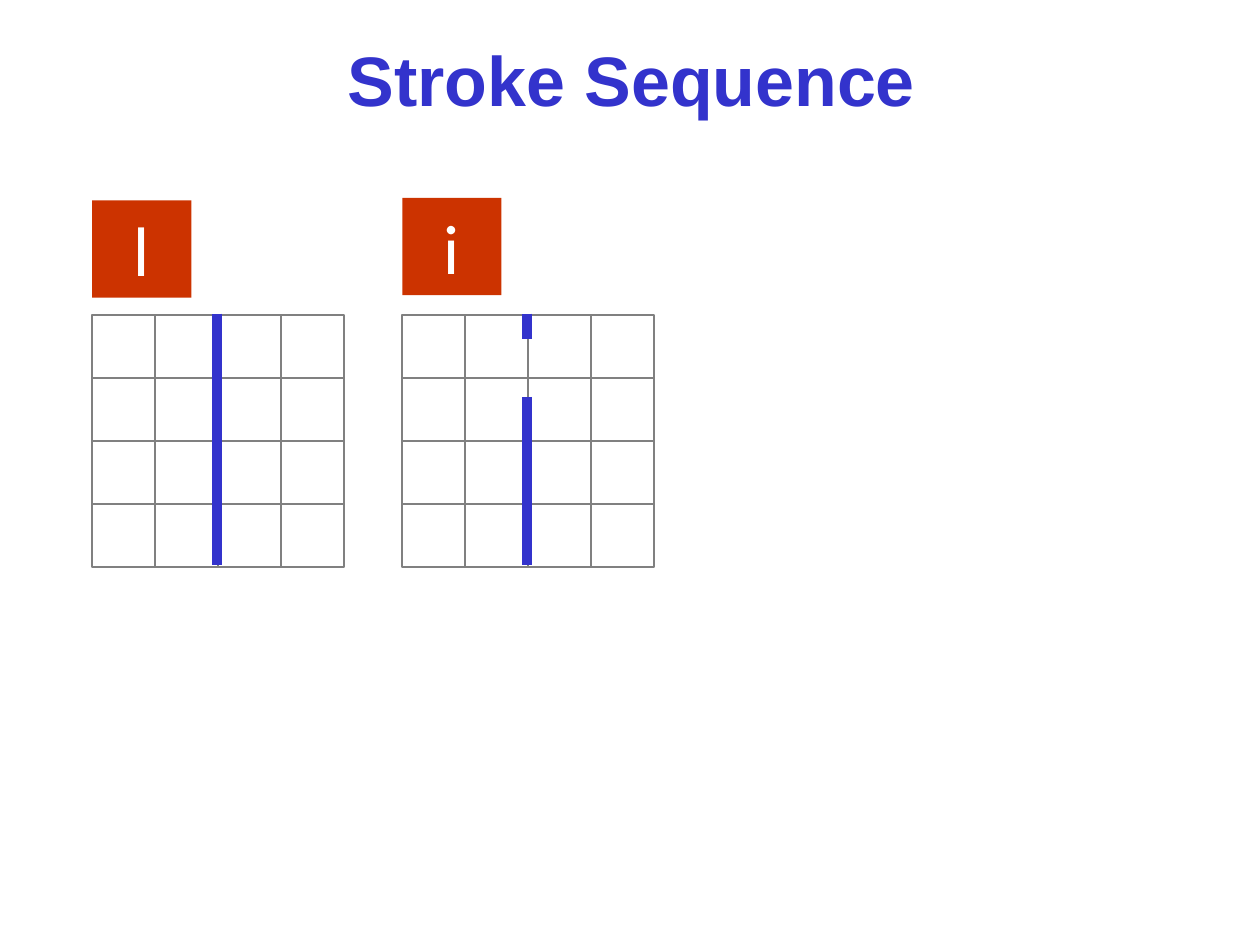
from lxml.etree import SubElement
from pptx import Presentation
from pptx.dml.color import RGBColor
from pptx.enum.shapes import MSO_CONNECTOR, MSO_SHAPE
from pptx.enum.text import MSO_ANCHOR, MSO_AUTO_SIZE, PP_ALIGN
from pptx.oxml.ns import qn
from pptx.util import Cm, Pt

COLORS = {"blue": "3333CC", "red": "CC3300", "gray": "808080", "white": "FFFFFF"}
CELL = 1.27
CELLS = 4
GRID_SIZE = CELL * CELLS
GRID_TOP = 6.35

# letter, grid left, tile top, strokes as (start, end) below the grid top
LETTERS = [
    ("l", 1.86, 4.04, [(0, 5.08)]),
    ("i", 8.11, 3.99, [(1.68, 5.08), (0, 0.51)]),
]


def color(name):
    return RGBColor.from_string(COLORS[name])


def format_text(shape, text, font_name, anchor, bold=False):
    frame = shape.text_frame
    frame.text = text
    frame.word_wrap = True
    frame.vertical_anchor = anchor
    paragraph = frame.paragraphs[0]
    paragraph.alignment = PP_ALIGN.CENTER
    font = paragraph.runs[0].font
    font.name, font.size, font.bold = font_name, Pt(40), bold
    return font


def add_line(shapes, x1, y1, x2, y2, color_name, width):
    line = shapes.add_connector(
        MSO_CONNECTOR.STRAIGHT, Cm(x1), Cm(y1), Cm(x2), Cm(y2))
    line.line.color.rgb = color(color_name)
    line.line.width = Pt(width)
    SubElement(line._element.spPr, qn("a:effectLst"))


def add_title(slide, left, top, width, height):
    title = slide.shapes.title
    title.left, title.top = Cm(left), Cm(top)
    title.width, title.height = Cm(width), Cm(height)
    font = format_text(title, "Stroke Sequence", "Arial", MSO_ANCHOR.MIDDLE, True)
    font.color.rgb = color("blue")


def add_tile(slide, letter, left, top):
    tile = slide.shapes.add_shape(
        MSO_SHAPE.RECTANGLE, Cm(left), Cm(top), Cm(2), Cm(1.96))
    tile.shadow.inherit = False
    tile.fill.solid()
    tile.fill.fore_color.rgb = color("red")
    tile.line.fill.background()
    font = format_text(tile, letter, "Calibri", MSO_ANCHOR.TOP)
    font.color.rgb = color("white")
    tile.text_frame.auto_size = MSO_AUTO_SIZE.SHAPE_TO_FIT_TEXT


def add_grid(slide, left, top):
    shapes = slide.shapes.add_group_shape().shapes
    frame = shapes.add_shape(
        MSO_SHAPE.RECTANGLE, Cm(left), Cm(top), Cm(GRID_SIZE), Cm(GRID_SIZE))
    frame.shadow.inherit = False
    frame.fill.background()
    frame.line.color.rgb = color("gray")
    frame.line.width = Pt(1)
    offsets = [CELL * index for index in range(1, CELLS)]
    for offset in offsets:
        add_line(shapes, left + offset, top, left + offset, top + GRID_SIZE, "gray", 1)
    for offset in offsets:
        add_line(shapes, left, top + offset, left + GRID_SIZE, top + offset, "gray", 1)


def add_strokes(slide, strokes, left, top):
    x = left + GRID_SIZE / 2 - 0.03
    for start, end in strokes:
        add_line(slide.shapes, x, top + start, x, top + end, "blue", 6)


def main():
    presentation = Presentation()
    presentation.slide_width, presentation.slide_height = Cm(25.4), Cm(19.05)
    slide = presentation.slides.add_slide(presentation.slide_layouts[5])

    add_title(slide, 1.93, 0, 21.59, 3.18)

    # Letter tiles and their grids
    for letter, left, tile_top, _ in LETTERS:
        add_tile(slide, letter, left, tile_top)
        add_grid(slide, left, GRID_TOP)

    # Strokes lie over the grids
    for _, left, _, strokes in LETTERS:
        add_strokes(slide, strokes, left, GRID_TOP - 0.03)

    presentation.save("out.pptx")


if __name__ == "__main__":
    main()
